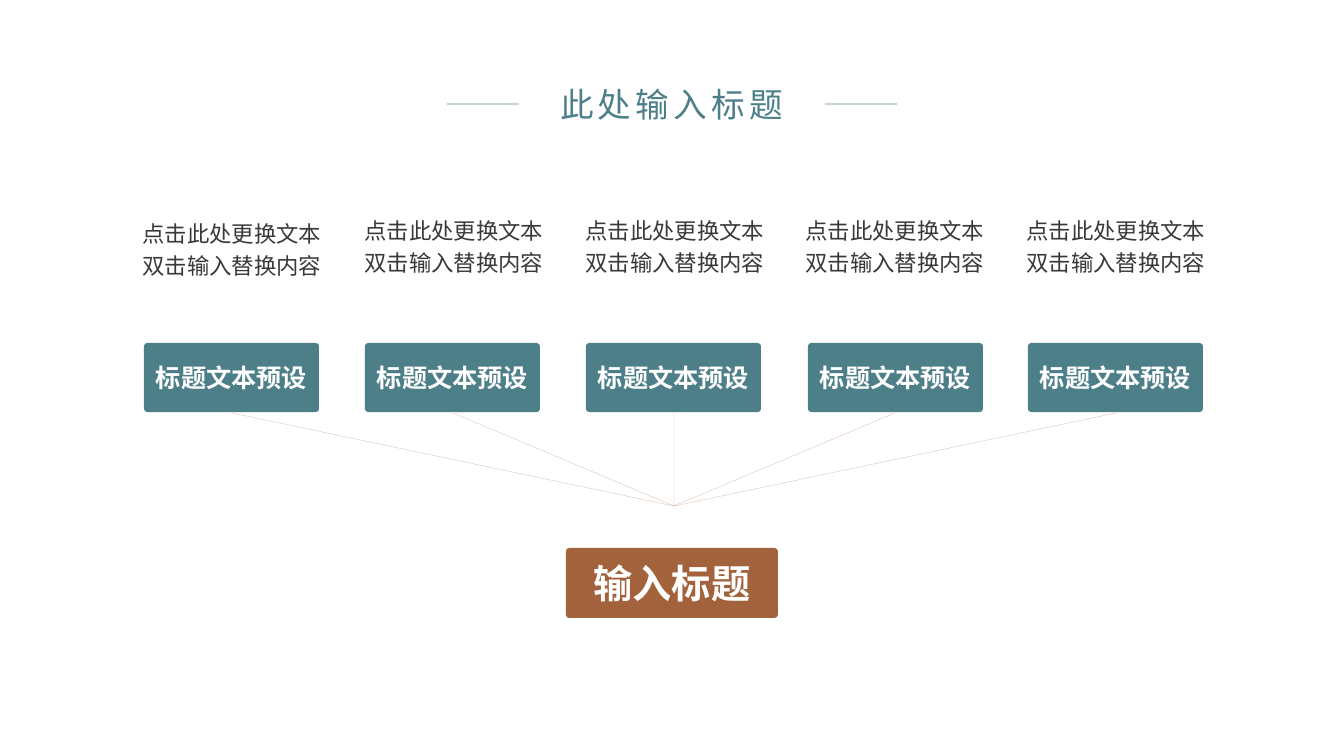
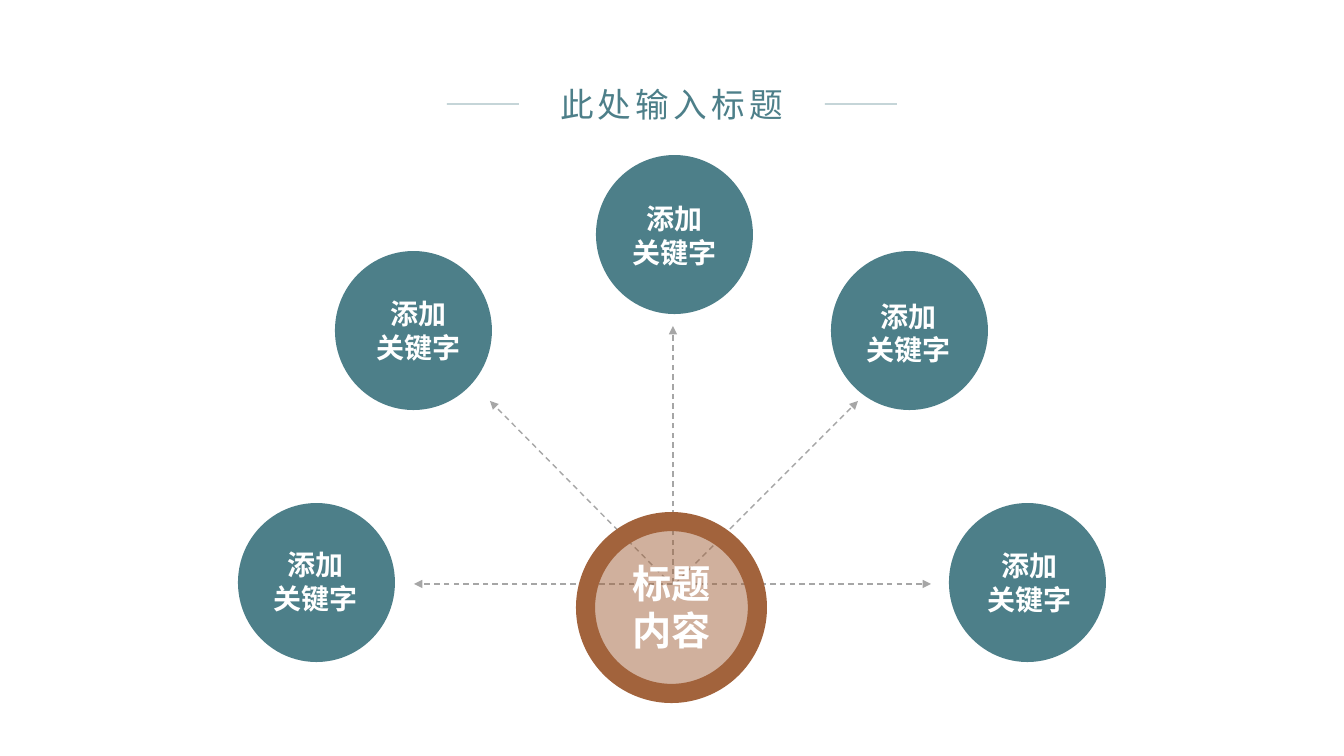
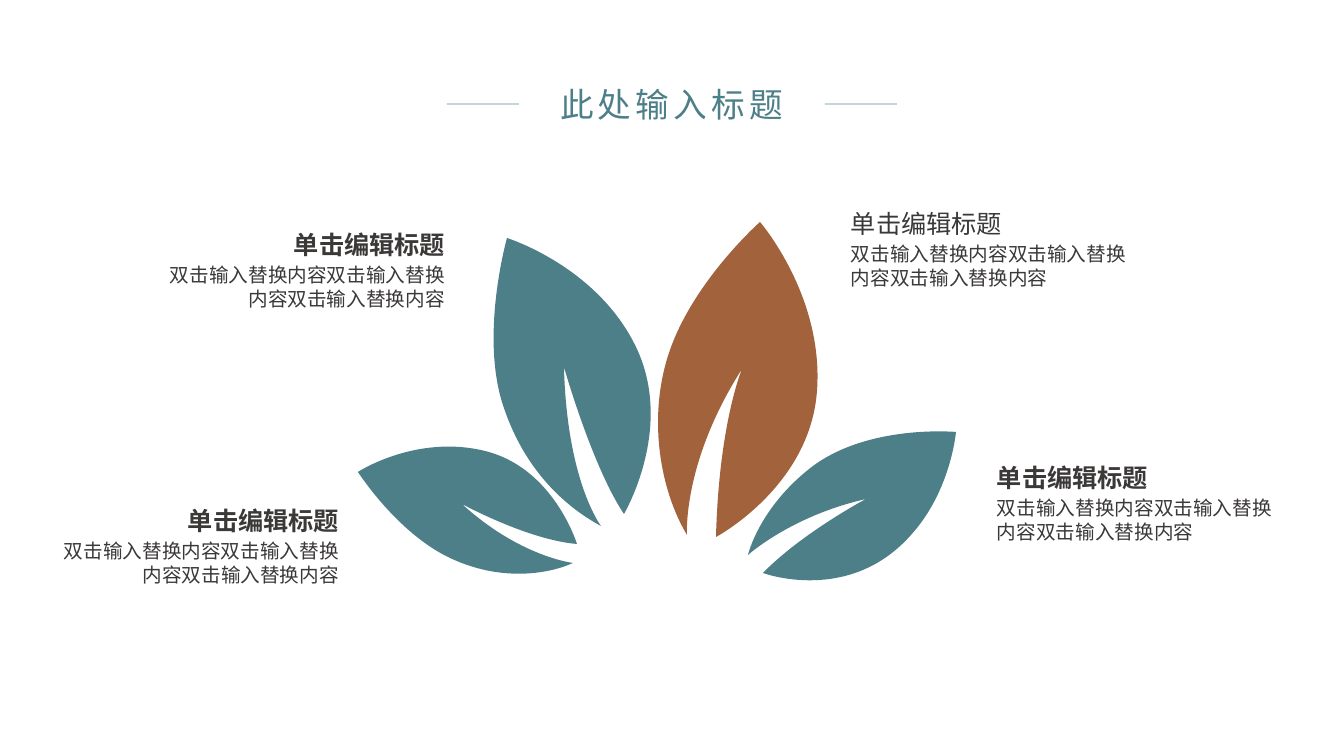
from dataclasses import dataclass

from lxml.etree import SubElement
from pptx import Presentation
from pptx.dml.color import RGBColor
from pptx.enum.dml import MSO_LINE
from pptx.enum.shapes import MSO_CONNECTOR, MSO_SHAPE
from pptx.enum.text import MSO_ANCHOR, MSO_AUTO_SIZE, PP_ALIGN
from pptx.oxml.ns import qn
from pptx.util import Emu, Pt


# Theme: colours, font and type sizes
@dataclass(frozen=True)
class Theme:
    teal: str = "4D7F89"
    brown: str = "A2633C"
    ink: str = "3B3838"
    grey: str = "A6A6A6"
    white: str = "FFFFFF"
    font: str = "Noto Sans CJK SC"
    title: int = 24
    hub: int = 28
    key: int = 20
    head: int = 18
    text: int = 16
    note: int = 14


theme = Theme()
PX = 914400 / 100.8


def write(sp, lines, color, align=PP_ALIGN.CENTER, inset=(0, 0), wrap=True,
          grow=False, anchor=MSO_ANCHOR.TOP, spacing=None, space_before=0):
    """Fill a shape with lines of (text, size, bold); space_before is a share of the size."""
    tf = sp.text_frame
    tf.word_wrap = wrap
    tf.auto_size = MSO_AUTO_SIZE.SHAPE_TO_FIT_TEXT if grow else MSO_AUTO_SIZE.NONE
    tf.vertical_anchor = anchor
    tf.margin_left = tf.margin_right = Emu(round(inset[0] * PX))
    tf.margin_top = tf.margin_bottom = Emu(round(inset[1] * PX))
    for i, (text, size, bold) in enumerate(lines):
        p = tf.add_paragraph() if i else tf.paragraphs[0]
        p.alignment = align
        if spacing:
            p.line_spacing = spacing
        if space_before:
            p.space_before = Pt(size * space_before)
        r = p.add_run()
        r.text = text
        r.font.size = Pt(size)
        r.font.bold = bold
        r.font.color.rgb = RGBColor.from_string(color)
        r.font.name = theme.font
        SubElement(r.font._element, qn("a:ea"), typeface=theme.font)


def connect(s, start, end, color, width, alpha=None, arrow=False):
    """Draw a line between two points, see-through or as a dashed arrow if asked."""
    ends = [Emu(round(v * PX)) for v in (*start, *end)]
    line = s.shapes.add_connector(MSO_CONNECTOR.STRAIGHT, *ends)
    line.line.color.rgb = RGBColor.from_string(color)
    line.line.width = Pt(width)
    spPr = line._element.spPr
    if alpha:
        SubElement(spPr.find(".//" + qn("a:srgbClr")), qn("a:alpha"), val=str(alpha * 1000))
    if arrow:
        line.line.dash_style = MSO_LINE.DASH
        SubElement(spPr.find(qn("a:ln")), qn("a:tailEnd"), type="triangle")
    SubElement(spPr, qn("a:effectLst"))


prs = Presentation()
prs.slide_width, prs.slide_height = Emu(round(1344 * PX)), Emu(round(756 * PX))
painted = []  # (shape, colour, alpha) of every filled shape

# Shared title between two short rules
for _ in range(3):
    s = prs.slides.add_slide(prs.slide_layouts[5])
    title = s.shapes.title
    title.left, title.top, title.width, title.height = [
        Emu(round(v * PX)) for v in (523, 79, 297, 50)]
    write(title, [("此处输入标题", theme.title, False)], theme.teal, inset=(10, 5), grow=True)
    title.text_frame.paragraphs[0].runs[0].font._element.set("spc", "300")
    for x in (447, 825):
        connect(s, (x, 104), (x + 72, 104), theme.teal, 1, alpha=50)

tree, fan, leaves = prs.slides

# Slide 1: five columns that meet in one box
for x, y, w, h in [(132, 215, 200, 99), (356, 212, 196, 79), (577, 212, 196, 79),
                   (797, 212, 196, 79), (1018, 212, 196, 79)]:
    note = tree.shapes.add_textbox(*[Emu(round(v * PX)) for v in (x, y, w, h)])
    write(note, [("点击此处更换文本双击输入替换内容", theme.text, False)], theme.ink, spacing=1.2)

for i in range(5):
    connect(tree, (674, 506), (232 + 221 * i, 413), theme.brown, 0.25, alpha=40)

boxes = [(x, 343, 175, 69, "标题文本预设", theme.head, theme.teal)
         for x in (144, 365, 586, 808, 1028)]
boxes.append((566, 548, 212, 70, "输入标题", theme.hub, theme.brown))
for x, y, w, h, text, size, color in boxes:
    box = tree.shapes.add_shape(MSO_SHAPE.ROUNDED_RECTANGLE,
                                *[Emu(round(v * PX)) for v in (x, y, w, h)])
    box.adjustments[0] = 0.05
    write(box, [(text, size, True)], theme.white, inset=(2, 2), wrap=False,
          anchor=MSO_ANCHOR.MIDDLE)
    painted.append((box, color, None))

# Slide 2: arrows from the hub to five keyword circles
for start, end in [((673, 584), (414, 584)), ((673, 584), (931, 584)),
                   ((673, 584), (673, 326)), ((675, 584), (858, 401)),
                   ((666, 579), (490, 401))]:
    connect(fan, start, end, theme.grey, 1, arrow=True)

# circle left and top, label left and top
for x, y, label_x, label_y in [(238, 503, 240, 540), (335, 251, 343, 289),
                               (596, 155, 599, 194), (831, 251, 833, 291),
                               (949, 503, 954, 541)]:
    circle = fan.shapes.add_shape(MSO_SHAPE.OVAL,
                                  *[Emu(round(v * PX)) for v in (x, y, 157, 159)])
    painted.append((circle, theme.teal, None))
    label = fan.shapes.add_textbox(*[Emu(round(v * PX)) for v in (label_x, label_y, 151, 85)])
    write(label, [("添加", theme.key, True), ("关键字", theme.key, True)], theme.white,
          inset=(16, 8), grow=True)

# Hub: pale disc, ring and text
for kind, x, y, size, alpha in [(MSO_SHAPE.OVAL, 592, 528, 159, 50),
                                (MSO_SHAPE.DONUT, 576, 512, 191, None)]:
    hub = fan.shapes.add_shape(kind, *[Emu(round(v * PX)) for v in (x, y, size, size)])
    painted.append((hub, theme.brown, alpha))
hub.adjustments[0] = 0.1
hub_text = fan.shapes.add_textbox(*[Emu(round(v * PX)) for v in (609, 552, 125, 109)])
write(hub_text, [("标题内容", theme.hub, True)], theme.white, inset=(13, 7), grow=True)

# Slide 3: leaves, each a closed chain of cubic curves (two controls and an end)
LEAVES = [
    (theme.teal, [
        (763, 573), (849, 605), (911, 535), (951, 491), (956, 432), (956, 432),
        (956, 432), (870, 424), (813, 466), (759, 507), (748, 555), (748, 555),
        (748, 555), (791, 516), (866, 499), (866, 499), (802, 533), (763, 573)]),
    (theme.brown, [
        (716, 537), (810, 487), (817, 391), (824, 296), (760, 222), (760, 222),
        (760, 222), (691, 283), (668, 356), (648, 419), (660, 490), (687, 535),
        (687, 535), (682, 463), (742, 369), (742, 369), (719, 423), (716, 537)]),
    (theme.teal, [
        (624, 514), (675, 428), (636, 347), (597, 266), (507, 238), (507, 238),
        (507, 238), (479, 337), (504, 408), (528, 479), (575, 512), (601, 526),
        (601, 526), (567, 482), (564, 367), (564, 367), (592, 466), (624, 514)]),
    (theme.teal, [
        (577, 544), (554, 468), (485, 451), (416, 434), (358, 472), (358, 472),
        (358, 472), (397, 533), (450, 558), (505, 584), (554, 572), (573, 563),
        (573, 563), (520, 557), (462, 504), (462, 504), (528, 540), (577, 544)]),
]
for color, points in LEAVES:
    outline = leaves.shapes.build_freeform(*points[-1], scale=PX)
    outline.add_line_segments(points, close=True)
    leaf = outline.convert_to_shape()
    painted.append((leaf, color, None))
    # Join every three segments into one curve
    segments = leaf._element.spPr.findall(".//" + qn("a:lnTo"))
    for curve, *rest in zip(segments[::3], segments[1::3], segments[2::3]):
        curve.tag = qn("a:cubicBezTo")
        for segment in rest:
            curve.append(segment[0])
            segment.getparent().remove(segment)

# Captions beside the leaves
for x, y, w, align, bold in [(851, 208, 279, PP_ALIGN.LEFT, False),
                             (997, 462, 290, PP_ALIGN.LEFT, True),
                             (162, 229, 283, PP_ALIGN.RIGHT, True),
                             (56, 505, 283, PP_ALIGN.RIGHT, True)]:
    caption = leaves.shapes.add_textbox(*[Emu(round(v * PX)) for v in (x, y, w, 83)])
    write(caption, [("单击编辑标题", theme.head, bold),
                    ("双击输入替换内容" * 3, theme.note, False)],
          theme.ink, align=align, grow=True, space_before=0.2)

# Flat fill for every shape
for sp, color, alpha in painted:
    sp.shadow.inherit = False
    sp.line.fill.background()
    sp.fill.solid()
    sp.fill.fore_color.rgb = RGBColor.from_string(color)
    if alpha:
        SubElement(sp._element.spPr.find(".//" + qn("a:srgbClr")), qn("a:alpha"),
                   val=str(alpha * 1000))

prs.save("out.pptx")
